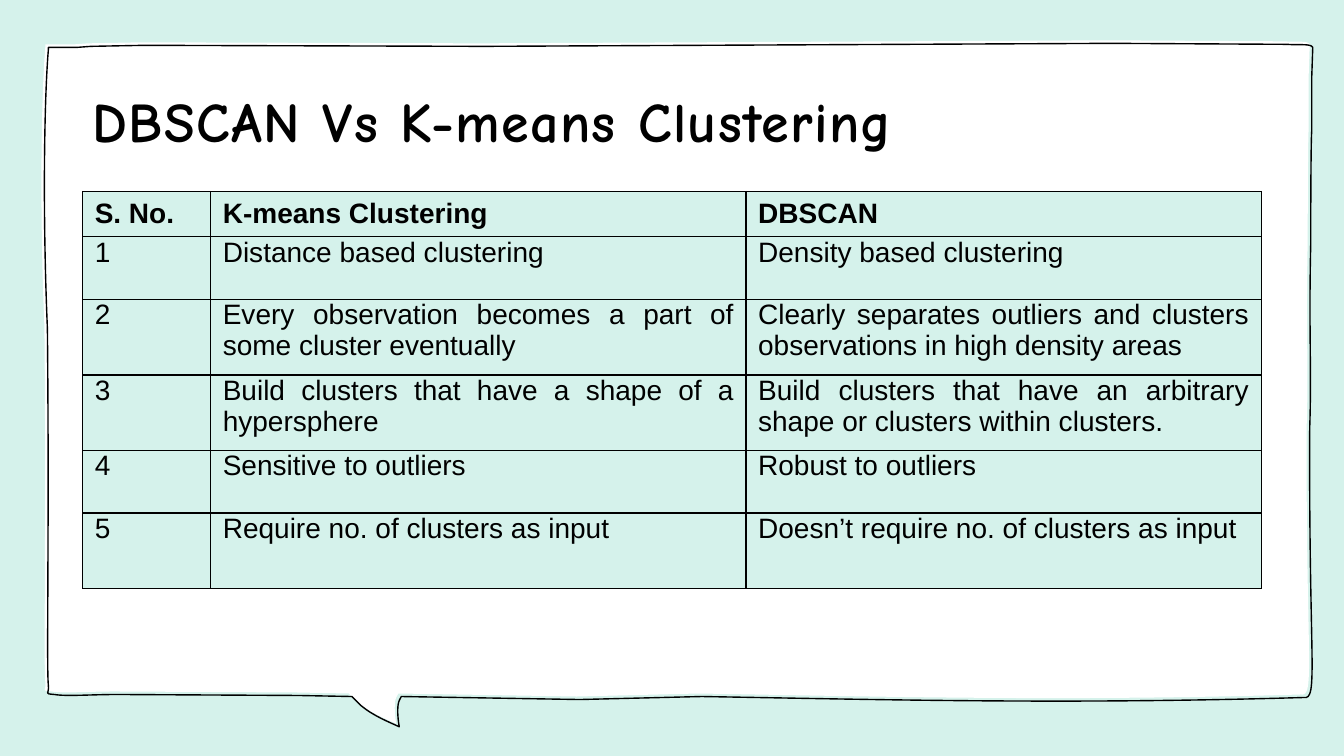
from lxml.etree import SubElement
from pptx import Presentation
from pptx.dml.color import RGBColor
from pptx.enum.text import MSO_ANCHOR, MSO_AUTO_SIZE, PP_ALIGN
from pptx.oxml.ns import qn
from pptx.util import Inches, Pt

MINT, WHITE, BLACK = "D5F2EB", "FFFFFF", "000000"
COLUMN_WIDTHS = [1.27, 5.31, 5.11]
ROW_HEIGHTS = [0.45, 0.62, 0.75, 0.75, 0.62, 0.75]
COMPARISON = [
    ("S. No.", "K-means Clustering", "DBSCAN"),
    ("1", "Distance based clustering", "Density based clustering"),
    ("2", "Every observation becomes a part of some cluster eventually",
     "Clearly separates outliers and clusters observations in high density areas"),
    ("3", "Build clusters that have a shape of a hypersphere",
     "Build clusters that have an arbitrary shape or clusters within clusters."),
    ("4", "Sensitive to outliers", "Robust to outliers"),
    ("5", "Require no. of clusters as input", "Doesn’t require no. of clusters as input"),
]
BUBBLE_START = (11.03, 0.43)
BUBBLE_SEGMENTS = [
    (12.76, 0.44),
    (12.89, 0.45, 13, 0.43, 13.02, 0.47),
    (13.01, 0.77),
    (13.01, 0.94, 13.01, 1.13, 13.01, 1.3),
    (13, 1.42, 13, 2.35, 13, 2.42),
    (12.98, 3.3, 13.01, 3.65, 12.99, 4.25),
    (12.98, 6.56, 13.08, 6.95, 12.93, 6.92),
    (10.56, 6.99, 8.72, 6.94, 6.96, 6.91),
    (5.75, 6.94), (3.98, 6.91), (3.96, 6.95),
    (3.94, 6.99, 3.94, 7.1, 3.96, 7.21),
    (3.85, 7.16, 3.7, 7.1, 3.58, 7),
    (3.49, 6.91), (2.96, 6.9), (1.17, 6.89),
    (0.9, 6.89, 0.66, 6.91, 0.54, 6.89),
    (0.43, 6.88, 0.49, 6.89, 0.48, 6.8),
    (0.46, 6.65, 0.49, 5.22, 0.47, 3.26),
    (0.42, 2.07, 0.44, 0.96, 0.48, 0.49),
    (0.48, 0.48, 0.48, 0.48, 0.48, 0.47),
    (0.54, 0.47), (0.77, 0.47), (0.9, 0.46), (1.43, 0.45), (4.8, 0.46),
    BUBBLE_START,
]


def color(hex_code):
    """Turn a hex string into a colour."""
    return RGBColor.from_string(hex_code)


def bend_segments(bubble, shift):
    """Turn the straight sides that have control points into cubic curves."""
    sides = list(bubble.element.iter(qn("a:lnTo")))
    for side, segment in zip(sides, BUBBLE_SEGMENTS):
        if len(segment) == 2:
            continue
        curve = SubElement(side.getparent(), qn("a:cubicBezTo"))
        for x, y in zip(segment[::2], segment[1::2]):
            SubElement(curve, qn("a:pt"), x=str(Inches(x + shift) - bubble.left),
                       y=str(Inches(y + shift) - bubble.top))
        side.getparent().replace(side, curve)


def add_bubble(slide, shape_id, shift, fill=None, line=None):
    """Draw the speech bubble on the layout, moved by shift inches."""
    ends = [(Inches(segment[-2] + shift), Inches(segment[-1] + shift))
            for segment in BUBBLE_SEGMENTS]
    builder = slide.shapes.build_freeform(*ends[-1])
    builder.add_line_segments(ends, close=True)
    bubble = builder.convert_to_shape()
    bend_segments(bubble, shift)
    bubble.shadow.inherit = False
    if fill:
        bubble.fill.solid()
        bubble.fill.fore_color.rgb = color(fill)
    else:
        bubble.fill.background()
    if line:
        bubble.line.color.rgb = color(line)
        bubble.line.width = Pt(1)
    else:
        bubble.line.fill.background()
    bubble.element.nvSpPr.cNvPr.set("id", str(shape_id))
    slide.slide_layout.shapes.element.append(bubble.element)


def add_run(paragraph, text, font, size, bold):
    """Add one black run to a paragraph."""
    run = paragraph.add_run()
    run.text = text
    run.font.name = font
    run.font.size = Pt(size)
    run.font.bold = bold
    run.font.color.rgb = color(BLACK)
    return run


def write_title(slide, text):
    """Place and format the slide title."""
    title = slide.shapes.title
    title.left, title.top = Inches(0.82), Inches(0.82)
    title.width, title.height = Inches(11.3), Inches(0.75)
    frame = title.text_frame
    frame.auto_size = MSO_AUTO_SIZE.NONE
    frame.vertical_anchor = MSO_ANCHOR.MIDDLE
    frame.paragraphs[0].alignment = PP_ALIGN.LEFT
    run = add_run(frame.paragraphs[0], text, "Comic Neue", 40, True)
    run.font._element.set("spc", "100")


def add_borders(cell):
    """Give a cell a thin black line on every side."""
    properties = cell._tc.get_or_add_tcPr()
    for side in ("lnL", "lnR", "lnT", "lnB"):
        border = SubElement(properties, qn(f"a:{side}"), w=str(Pt(1)))
        fill = SubElement(border, qn("a:solidFill"))
        SubElement(fill, qn("a:srgbClr"), val=BLACK)


def fill_cell(cell, text, header):
    """Write and format one table cell."""
    add_borders(cell)
    cell.fill.solid()
    cell.fill.fore_color.rgb = color(MINT)
    cell.margin_left = cell.margin_right = Inches(0.12)
    cell.margin_top = cell.margin_bottom = 0
    cell.vertical_anchor = MSO_ANCHOR.MIDDLE if header else MSO_ANCHOR.TOP
    paragraph = cell.text_frame.paragraphs[0]
    paragraph.alignment = PP_ALIGN.JUSTIFY
    add_run(paragraph, text, "Arial", 20, header)


def add_comparison(slide):
    """Add the table that compares both algorithms."""
    table = slide.shapes.add_table(
        len(ROW_HEIGHTS), len(COLUMN_WIDTHS), Inches(0.82), Inches(1.9),
        Inches(sum(COLUMN_WIDTHS)), Inches(sum(ROW_HEIGHTS))).table
    for column, width in zip(table.columns, COLUMN_WIDTHS):
        column.width = Inches(width)
    for index, (row, height, texts) in enumerate(zip(table.rows, ROW_HEIGHTS, COMPARISON)):
        row.height = Inches(height)
        for cell, text in zip(row.cells, texts):
            fill_cell(cell, text, index == 0)


def main():
    """Build the slide and save it."""
    presentation = Presentation()
    presentation.slide_width, presentation.slide_height = Inches(13.33), Inches(7.5)
    slide = presentation.slides.add_slide(presentation.slide_layouts[5])
    slide.background.fill.solid()
    slide.background.fill.fore_color.rgb = color(MINT)
    add_bubble(slide, 101, -0.03, fill=WHITE)
    add_bubble(slide, 102, 0, line=BLACK)
    write_title(slide, "DBSCAN Vs K-means Clustering")
    add_comparison(slide)
    presentation.save("out.pptx")


if __name__ == "__main__":
    main()
